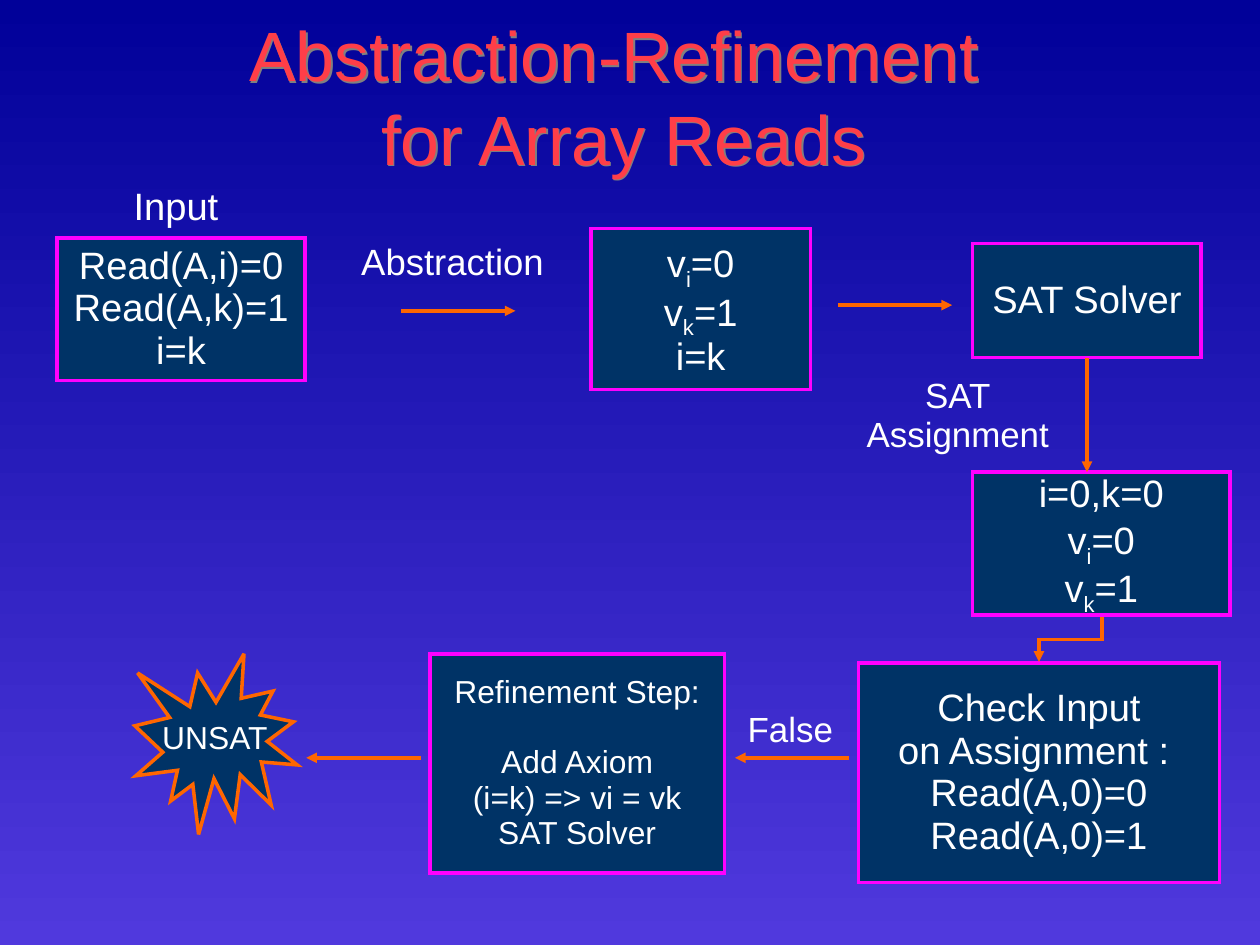
import pptx
import pptx.util
import pptx.dml.color
import pptx.enum.shapes
import pptx.enum.text
import pptx.oxml
import pptx.oxml.ns

Inches = pptx.util.Inches
Pt = pptx.util.Pt
SHAPE = pptx.enum.shapes.MSO_SHAPE
CONNECTOR = pptx.enum.shapes.MSO_CONNECTOR
ANCHOR = pptx.enum.text.MSO_ANCHOR

COLOURS = {
    "top": "010199", "bottom": "5039DD", "title": "FF3E48", "title shadow": "808080",
    "box": "003366", "frame": "FF00FF", "arrow": "FF6600", "text": "FFFFFF",
}
FONT = "Arial"
LINE_WIDTH = 2.25
ARROW_LENGTH = 1
SLIDE_SIZE_CM = (28, 21)

# Content: an underscore lowers the letter after it
TITLE = ["Abstraction-Refinement ", "for Array Reads"]
TITLE_PLACE = (0.17, 0.17, 10.58, 1.33)

# Lines, place (left, top, width, height), text size, gap after first line
BOXES = [
    (["Read(A,i)=0", "Read(A,k)=1", "i=k"], (0.5, 2.08, 2.17, 1.25), 24, 0),
    (["v_i=0", "v_k=1", "i=k"], (5.17, 2, 1.92, 1.41), 24, 0),
    (["SAT Solver"], (8.51, 2.13, 2, 1), 24, 0),
    (["i=0,k=0", "v_i=0", "v_k=1"], (8.51, 4.13, 2.25, 1.25), 24, 0),
    (["Check Input", "on Assignment : ", "Read(A,0)=0", "Read(A,0)=1"],
     (7.51, 5.8, 3.16, 1.92), 24, 0),
    (["Refinement Step:", "Add Axiom", "(i=k) => vi = vk", "SAT Solver"],
     (3.76, 5.72, 2.58, 1.92), 20, 22),
]
BURST = (["UNSAT"], (1.18, 5.72, 1.42, 1.58), 20)
LABELS = [
    (["Input"], (1.07, 1.58, 0.94, 0.47), 24),
    (["Abstraction"], (2.92, 2.08, 2.08, 0.46), 23),
    (["SAT", "Assignment"], (7.33, 3.25, 2.1, 0.78), 22),
    (["False"], (6.25, 6.17, 1.33, 0.44), 22),
]

# Arrow start (x, y) and direction (x, y)
ARROWS = [
    ((3.51, 2.72), (1, 0)),
    ((7.33, 2.67), (1, 0)),
    ((9.51, 3.13), (0, 1)),
    ((7.43, 6.63), (-1, 0)),
    ((3.68, 6.63), (-1, 0)),
]
BENT_ARROW = ((9.64, 5.4), (9.09, 5.79))


def rgb(name):
    return pptx.dml.color.RGBColor.from_string(COLOURS[name])


def element(tag, attributes="", inside=""):
    space = pptx.oxml.ns.nsdecls("a")
    return pptx.oxml.parse_xml(f"<a:{tag} {space} {attributes}>{inside}</a:{tag}>")


def write(shape, lines, size, colour="text", spacing=0.93, wrap=False,
          anchor=ANCHOR.MIDDLE, first_gap=0):
    frame = shape.text_frame
    frame.word_wrap = wrap
    frame.vertical_anchor = anchor
    for number, line in enumerate(lines):
        para = frame.add_paragraph() if number else frame.paragraphs[0]
        para.alignment = pptx.enum.text.PP_ALIGN.CENTER
        para.line_spacing = spacing
        if number == 0 and first_gap:
            para.space_after = Pt(first_gap)
        base, _, rest = line.partition("_")
        for text, lowered in ((base, False), (rest[:1], True), (rest[1:], False)):
            if not text:
                continue
            span = para.add_run()
            span.text = text
            span.font.size = Pt(size)
            span.font.name = FONT
            span.font.color.rgb = rgb(colour)
            if lowered:
                span.font._element.set("baseline", "-25000")


def draw_line(shape, colour):
    shape.line.color.rgb = rgb(colour)
    shape.line.width = Pt(LINE_WIDTH)
    outline = shape.line._get_or_add_ln()
    outline.append(element("miter", 'lim="800000"'))
    return outline


def add_node(page, kind, place, frame_colour):
    node = page.shapes.add_shape(kind, *map(Inches, place))
    node.shadow.inherit = False
    node.fill.solid()
    node.fill.fore_color.rgb = rgb("box")
    draw_line(node, frame_colour)
    return node


def add_arrow(page, kind, start, end):
    arrow = page.shapes.add_connector(kind, *map(Inches, (*start, *end)))
    draw_line(arrow, "arrow").append(element("tailEnd", 'type="triangle"'))
    arrow._element.spPr.append(element("effectLst"))
    return arrow


def add_title(page):
    title = page.shapes.add_textbox(*map(Inches, TITLE_PLACE))
    write(title, TITLE, 44, colour="title", spacing=1.0, wrap=True)
    shadow = (f'<a:outerShdw dist="17961" dir="2700000">'
              f'<a:srgbClr val="{COLOURS["title shadow"]}"/></a:outerShdw>')
    title._element.spPr.append(element("effectLst", inside=shadow))


def main():
    deck = pptx.Presentation()
    deck.slide_width, deck.slide_height = map(pptx.util.Cm, SLIDE_SIZE_CM)
    page = deck.slides.add_slide(deck.slide_layouts[6])

    # Background, dark at the top
    fill = page.background.fill
    fill.gradient()
    fill.gradient_angle = 270
    for stop, position, name in zip(fill.gradient_stops, (0, 1), ("top", "bottom")):
        stop.position = position
        stop.color.rgb = rgb(name)

    add_title(page)

    # Boxes and the final burst
    for lines, place, size, gap in BOXES:
        box = add_node(page, SHAPE.RECTANGLE, place, "frame")
        write(box, lines, size, first_gap=gap)
    lines, place, size = BURST
    write(add_node(page, SHAPE.EXPLOSION1, place, "arrow"), lines, size)

    # Labels
    for lines, place, size in LABELS:
        label = page.shapes.add_textbox(*map(Inches, place))
        write(label, lines, size, wrap=True, anchor=ANCHOR.TOP)

    # Straight arrows
    for (x, y), (across, down) in ARROWS:
        end = (x + across * ARROW_LENGTH, y + down * ARROW_LENGTH)
        add_arrow(page, CONNECTOR.STRAIGHT, (x, y), end)

    # Bent arrow: laid out sideways around its centre, then turned a quarter
    (x1, y1), (x2, y2) = BENT_ARROW
    middle_x, middle_y = (x1 + x2) / 2, (y1 + y2) / 2
    half_width, half_height = (y2 - y1) / 2, (x1 - x2) / 2
    bent = add_arrow(page, CONNECTOR.ELBOW,
                     (middle_x - half_width, middle_y - half_height),
                     (middle_x + half_width, middle_y + half_height))
    bent._element.spPr.xfrm.set("rot", "5400000")

    deck.save("out.pptx")


if __name__ == "__main__":
    main()
